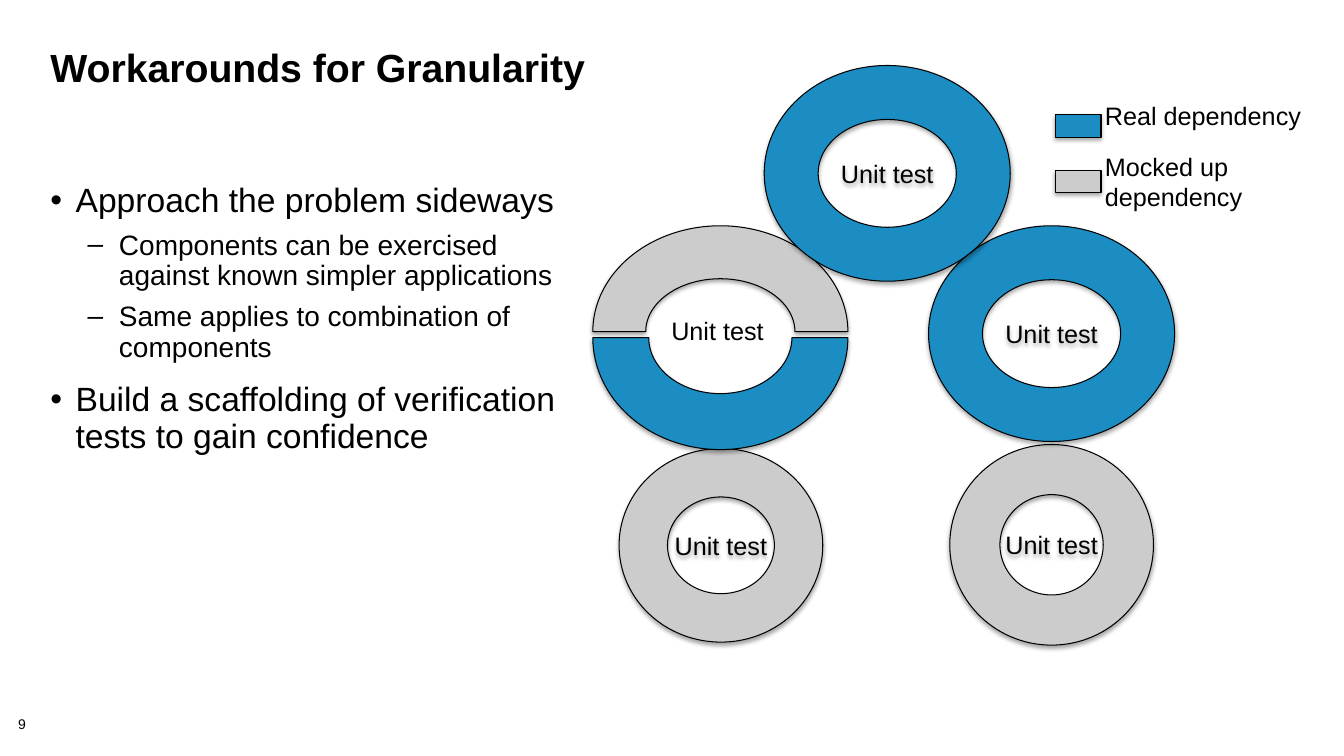
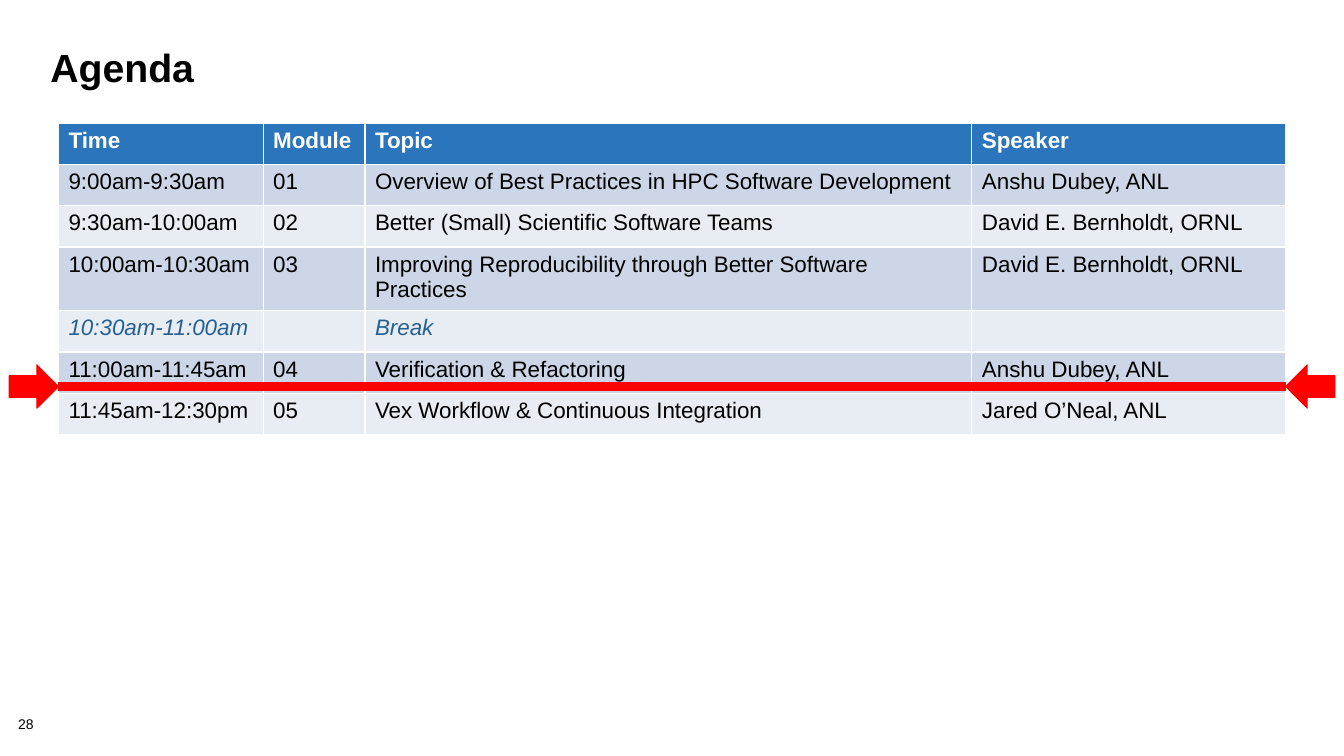
from lxml import etree
from pptx import Presentation
from pptx.dml.color import RGBColor
from pptx.enum.shapes import MSO_CONNECTOR, MSO_SHAPE
from pptx.enum.text import MSO_ANCHOR, MSO_AUTO_SIZE, PP_ALIGN
from pptx.oxml.ns import qn
from pptx.util import Inches, Pt

LEFT, CENTER = PP_ALIGN.LEFT, PP_ALIGN.CENTER
TOP, MIDDLE = MSO_ANCHOR.TOP, MSO_ANCHOR.MIDDLE
NO_AUTOFIT = MSO_AUTO_SIZE.NONE
STRAIGHT = MSO_CONNECTOR.STRAIGHT
DONUT, BLOCK_ARC, RECTANGLE = MSO_SHAPE.DONUT, MSO_SHAPE.BLOCK_ARC, MSO_SHAPE.RECTANGLE
RIGHT_ARROW, LEFT_ARROW = MSO_SHAPE.RIGHT_ARROW, MSO_SHAPE.LEFT_ARROW

FONT = "Arial"
COLORS = {
    "text": "000000",
    "white": "FFFFFF",
    "real": "1B8DC3",
    "mocked": "CCCCCC",
    "header": "2A75BB",
    "odd_row": "CDD6E7",
    "even_row": "E8ECF3",
    "break": "266093",
    "marker": "FF0000",
}
COLORS = {name: RGBColor.from_string(value) for name, value in COLORS.items()}


def write_text(frame, text, size=18, color="text", bold=False, italic=False,
               alignment=LEFT, line_spacing=1.0, space_before=0):
    paragraph = frame.paragraphs[0]
    if paragraph.runs:
        paragraph = frame.add_paragraph()
    paragraph.alignment = alignment
    paragraph.line_spacing = line_spacing
    paragraph.space_before = Pt(space_before)
    run = paragraph.add_run()
    run.text = text
    run.font.name = FONT
    run.font.size = Pt(size)
    run.font.bold = bold
    run.font.italic = italic
    run.font.color.rgb = COLORS[color]
    return paragraph


def add_titled_slide(layout_index, title_text, number):
    slide = presentation.slides.add_slide(presentation.slide_layouts[layout_index])
    title = slide.shapes.title
    title.left, title.top = Inches(0.4), Inches(0.45)
    title.width, title.height = Inches(12.44), Inches(1)
    title.text_frame.vertical_anchor = TOP
    title.text_frame.auto_size = NO_AUTOFIT
    write_text(title.text_frame, title_text, size=28, bold=True, line_spacing=0.85)
    number_box = slide.shapes.add_textbox(Inches(0.18), Inches(7.12), Inches(0.56), Inches(0.16))
    frame = number_box.text_frame
    frame.word_wrap = True
    frame.margin_left = frame.margin_top = frame.margin_right = frame.margin_bottom = 0
    write_text(frame, number, size=10, line_spacing=0.9)
    return slide


presentation = Presentation()
presentation.slide_width = Inches(13.33)
presentation.slide_height = Inches(7.5)

slide = add_titled_slide(1, "Workarounds for Granularity", "9")

body = slide.placeholders[1]
body.left, body.top = Inches(0.4), Inches(1.77)
body.width, body.height = Inches(5.55), Inches(4.67)
body.text_frame.auto_size = NO_AUTOFIT
body.text_frame.vertical_anchor = TOP
LEVELS = [
    {"size": 24, "before": 14, "margin": 0.25, "indent": -0.25, "bullet": "•"},
    {"size": 20, "before": 8, "margin": 0.68, "indent": -0.31, "bullet": "–"},
]
bullets = [
    (0, "Approach the problem sideways"),
    (1, "Components can be exercised against known simpler applications"),
    (1, "Same applies to combination of components"),
    (0, "Build a scaffolding of verification tests to gain confidence"),
]
for level, text in bullets:
    style = LEVELS[level]
    paragraph = write_text(body.text_frame, text, size=style["size"],
                           line_spacing=0.9, space_before=style["before"])
    paragraph.level = level
    properties = paragraph._p.get_or_add_pPr()
    properties.set("marL", str(Inches(style["margin"])))
    properties.set("indent", str(Inches(style["indent"])))
    etree.SubElement(properties, qn("a:buChar")).set("char", style["bullet"])

labels = [
    (10.86, 1.45, 1.58, 0.71, ["Mocked up", "dependency"]),
    (10.86, 0.95, 2.17, 0.4, ["Real dependency"]),
    (6.56, 3.08, 1.13, 0.4, ["Unit test"]),
]
for left, top, width, height, lines in labels:
    label = slide.shapes.add_textbox(Inches(left), Inches(top), Inches(width), Inches(height))
    label.text_frame.word_wrap = False
    for line in lines:
        write_text(label.text_frame, line)

diagram = [
    (DONUT, 6.14, 4.45, 2.02, 1.92, "mocked"),
    (DONUT, 9.42, 4.41, 2.02, 1.99, "mocked"),
    (BLOCK_ARC, 5.88, 2.24, 2.53, 2.1, "mocked"),
    (BLOCK_ARC, 5.88, 2.24, 2.53, 2.22, "real"),
    (DONUT, 9.21, 2.24, 2.44, 2.14, "real"),
    (DONUT, 7.58, 0.65, 2.44, 2.14, "real"),
    (RECTANGLE, 10.47, 1.14, 0.45, 0.22, "real"),
    (RECTANGLE, 10.47, 1.69, 0.45, 0.22, "mocked"),
]
for kind, left, top, width, height, color in diagram:
    shape = slide.shapes.add_shape(kind, Inches(left), Inches(top), Inches(width), Inches(height))
    shape.fill.solid()
    shape.fill.fore_color.rgb = COLORS[color]
    shape.line.color.rgb = COLORS["text"]
    shape.line.width = Pt(0.75)
    shape.shadow.inherit = False
    effects = shape._element.spPr.find(qn("a:effectLst"))
    shadow = etree.SubElement(effects, qn("a:outerShdw"), blurRad=str(Pt(3.1)),
                              dist=str(Pt(1.8)), dir="5400000", rotWithShape="0")
    shadow_color = etree.SubElement(shadow, qn("a:srgbClr"), val=str(COLORS["text"]))
    etree.SubElement(shadow_color, qn("a:alpha"), val="35000")
    if kind == DONUT:
        shape.text_frame.vertical_anchor = MIDDLE
        write_text(shape.text_frame, "Unit test", alignment=CENTER)
    elif kind == BLOCK_ARC and color == "real":
        shape.adjustments[0] = 0
        shape.adjustments[1] = 108

slide = add_titled_slide(5, "Agenda", "28")

agenda = [
    ("Time", "Module", "Topic", "Speaker"),
    ("9:00am-9:30am", "01", "Overview of Best Practices in HPC Software Development", "Anshu Dubey, ANL"),
    ("9:30am-10:00am", "02", "Better (Small) Scientific Software Teams", "David E. Bernholdt, ORNL"),
    ("10:00am-10:30am", "03", "Improving Reproducibility through Better Software Practices",
     "David E. Bernholdt, ORNL"),
    ("10:30am-11:00am", "", "Break", ""),
    ("11:00am-11:45am", "04", "Verification & Refactoring", "Anshu Dubey, ANL"),
    ("11:45am-12:30pm", "05", "Vex Workflow & Continuous Integration", "Jared O’Neal, ANL"),
]
column_widths = [2.03, 1.01, 6.02, 3.11]
table = slide.shapes.add_table(len(agenda), len(column_widths), Inches(0.58), Inches(1.22),
                               Inches(12.17), Inches(3.07)).table
for column, width in zip(table.columns, column_widths):
    column.width = Inches(width)
for row_index, entries in enumerate(agenda):
    is_header = row_index == 0
    is_break = "Break" in entries
    fill = "header" if is_header else "odd_row" if row_index % 2 else "even_row"
    color = "white" if is_header else "break" if is_break else "text"
    table.rows[row_index].height = Inches(0.63 if row_index == 3 else 0.41)
    for column_index, text in enumerate(entries):
        cell = table.cell(row_index, column_index)
        cell.fill.solid()
        cell.fill.fore_color.rgb = COLORS[fill]
        if text:
            write_text(cell.text_frame, text, size=16, color=color, bold=is_header, italic=is_break)

marker_line = slide.shapes.add_connector(STRAIGHT, Inches(0.58), Inches(3.83),
                                         Inches(12.75), Inches(3.83))
marker_line.line.color.rgb = COLORS["marker"]
marker_line.line.width = Pt(6)
etree.SubElement(marker_line._element.spPr, qn("a:effectLst"))

arrows = []
for kind, left in [(RIGHT_ARROW, 0.09), (LEFT_ARROW, 12.75)]:
    arrow = slide.shapes.add_shape(kind, Inches(left), Inches(3.62), Inches(0.49), Inches(0.43))
    arrow.shadow.inherit = False
    arrow.fill.solid()
    arrow.fill.fore_color.rgb = COLORS["marker"]
    arrow.line.color.rgb = COLORS["marker"]
    arrow.line.width = Pt(0.75)
    arrows.append(arrow)
marker_line.begin_connect(arrows[0], 3)
marker_line.end_connect(arrows[1], 1)

presentation.save("out.pptx")
